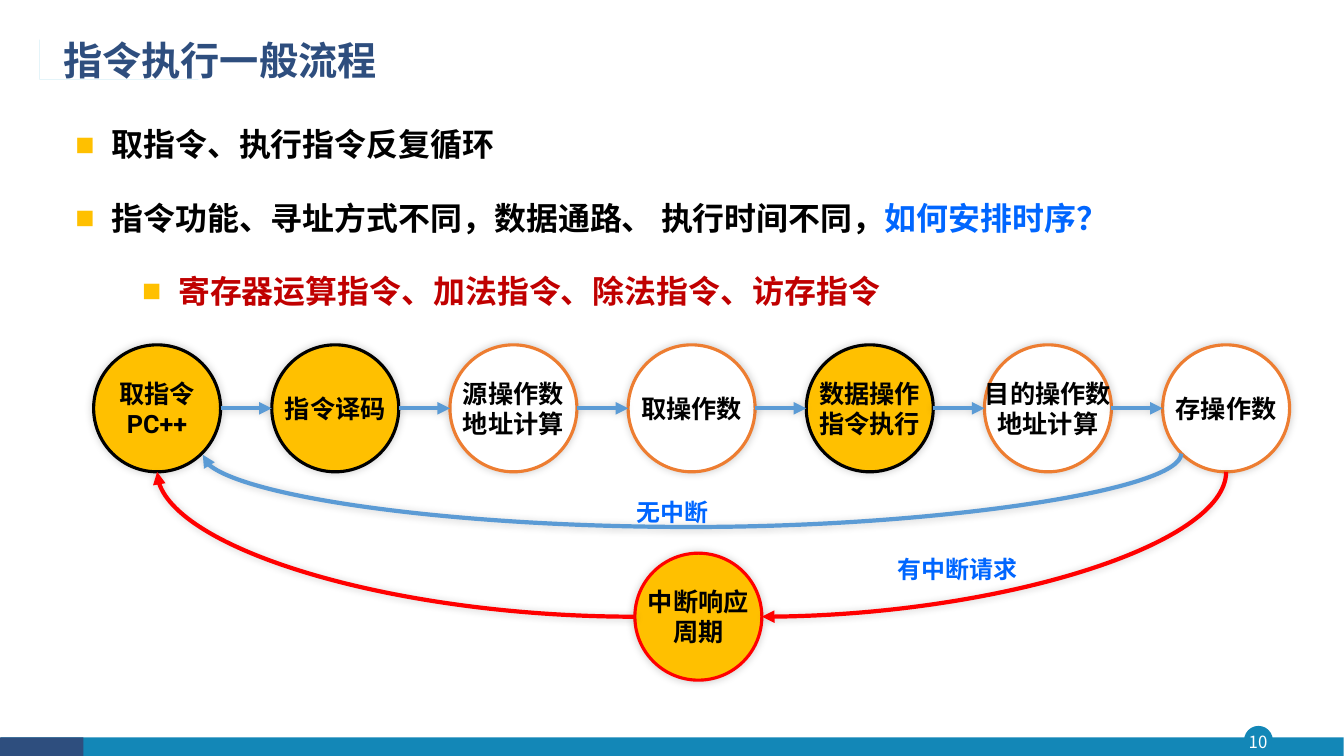
from lxml import etree
from pptx import Presentation
from pptx.dml.color import RGBColor
from pptx.enum import shapes, text
from pptx.oxml import ns, parse_xml
from pptx.util import Cm, Pt

# Content
TITLE = "指令执行一般流程"
PAGE = "10"
# Level, then (wording, colour) pieces
BULLETS = [
    (0, [("取指令、执行指令反复循环", "000000")]),
    (0, [("指令功能、寻址方式不同，数据通路、 执行时间不同，", "000000"),
         ("如何安排时序？", "0066FF")]),
    (1, [("寄存器运算指令、加法指令、除法指令、访存指令", "C00000")]),
]
# Lines of wording, fill, outline
STAGES = [
    (["取指令", "PC++"], "FFC000", "000000"),
    (["指令译码"], "FFC000", "000000"),
    (["源操作数", "地址计算"], "FFFFFF", "ED7D31"),
    (["取操作数"], "FFFFFF", "ED7D31"),
    (["数据操作", "指令执行"], "FFC000", "000000"),
    (["目的操作数", "地址计算"], "FFFFFF", "ED7D31"),
    (["存操作数"], "FFFFFF", "ED7D31"),
]
INTERRUPT = (["中断响应", "周期"], "FFC000", "FF0000")
# Wording, left, top, width
BRANCH_LABELS = [("无中断", 15.8, 12.04, 2.34), ("有中断请求", 22.38, 13.49, 3.56)]
TITLE_MARK = [
    (1.37, 0.99), (1.37, 2.16), (4.76, 2.16), (4.76, 2.2), (1.33, 2.2),
    (1.33, 1.04), (1.2, 1.04), (1.2, 2.2), (0.91, 2.2), (0.91, 0.99),
    (0.99, 0.99), (0.99, 2.13), (1.12, 2.13), (1.12, 0.99),
]

# Layout in centimetres
DIAMETER, PITCH = 3.2, 4.49
ROW_LEFT, ROW_TOP = 2.36, 8.69
INTERRUPT_LEFT, INTERRUPT_TOP = 16.0, 13.94
CJK, LATIN = "Noto Sans CJK SC", "Roboto"
BLUE, RED = "5B9BD5", "FF0000"

presentation = Presentation()
presentation.slide_width, presentation.slide_height = Cm(33.87), Cm(19.05)
slide = presentation.slides.add_slide(presentation.slide_layouts[6])


def color(value):
    return RGBColor.from_string(value)


def apply(target, **values):
    for name, value in values.items():
        setattr(target, name, value)


def add_run(paragraph, wording, size, hue, font=CJK, bold=True):
    run = paragraph.add_run()
    run.text = wording
    apply(run.font, size=Pt(size), bold=bold, name=font)
    run.font.color.rgb = color(hue)
    properties = run.font._element
    etree.SubElement(properties, ns.qn("a:ea"), typeface=CJK)


def add_box(left, top, width, height, **frame_values):
    box = slide.shapes.add_textbox(Cm(left), Cm(top), Cm(width), Cm(height))
    apply(box.text_frame, **frame_values)
    return box.text_frame


def paint(shape, fill, outline=None, width=1):
    shape.shadow.inherit = False
    shape.fill.solid()
    shape.fill.fore_color.rgb = color(fill)
    if outline:
        shape.line.color.rgb = color(outline)
        shape.line.width = Pt(width)
    else:
        shape.line.fill.background()


def add_shape(kind, left, top, width, height, *look):
    shape = slide.shapes.add_shape(kind, Cm(left), Cm(top), Cm(width), Cm(height))
    paint(shape, *look)
    return shape


def add_glow(shape):
    properties = shape._element.spPr
    for old in properties.findall(ns.qn("a:effectLst")):
        properties.remove(old)
    properties.append(parse_xml(
        f'<a:effectLst {ns.nsdecls("a")}><a:outerShdw blurRad="{Pt(6)}" dist="0" '
        'dir="18900000" algn="tl" rotWithShape="0"><a:srgbClr val="000000">'
        '<a:alpha val="20000"/></a:srgbClr></a:outerShdw></a:effectLst>'))


def add_stage(left, top, lines, fill, outline):
    shape = add_shape(shapes.MSO_SHAPE.OVAL, left, top, DIAMETER, DIAMETER,
                      fill, outline, 2.25)
    add_glow(shape)
    frame = shape.text_frame
    apply(frame, word_wrap=False, vertical_anchor=text.MSO_ANCHOR.MIDDLE)
    for number, line in enumerate(lines):
        paragraph = frame.add_paragraph() if number else frame.paragraphs[0]
        paragraph.alignment = text.PP_ALIGN.CENTER
        add_run(paragraph, line, 18, "000000", LATIN)


def add_arrow(start, end, hue, turn=0, preset=None, bend=None):
    """Curves are stored unturned: a quarter turn swaps the sides of their box."""
    (x1, y1), (x2, y2) = start, end
    width, height = abs(x2 - x1), abs(y2 - y1)
    if turn == 90:
        width, height = height, width
    left, top = (x1 + x2 - width) / 2, (y1 + y2 - height) / 2
    kind = shapes.MSO_CONNECTOR.CURVE if preset else shapes.MSO_CONNECTOR.STRAIGHT
    arrow = slide.shapes.add_connector(
        kind, Cm(left), Cm(top), Cm(left + width), Cm(top + height))
    arrow.line.color.rgb = color(hue)
    arrow.line.width = Pt(3)
    properties = arrow._element.spPr
    etree.SubElement(properties.find(ns.qn("a:ln")), ns.qn("a:tailEnd"), type="triangle")
    if preset:
        properties.find(ns.qn("a:xfrm")).set("rot", str(turn * 60000))
        geometry = properties.find(ns.qn("a:prstGeom"))
        geometry.set("prst", preset)
        if bend:
            guides = geometry.find(ns.qn("a:avLst"))
            etree.SubElement(guides, ns.qn("a:gd"), name="adj1",
                             fmla=f"val {round(bend / width * 100000)}")
    add_glow(arrow)


# Footer and page number
add_shape(shapes.MSO_SHAPE.OVAL, 31.37, 18.31, 0.69, 0.69, "1387B7", "1387B7")
add_shape(shapes.MSO_SHAPE.RECTANGLE, 0.02, 18.58, 33.84, 0.47, "1387B7")
add_shape(shapes.MSO_SHAPE.RECTANGLE, 0, 18.58, 2.1, 0.47, "2E4E7E")
page = add_box(31.3, 18.31, 0.81, 0.79, vertical_anchor=text.MSO_ANCHOR.MIDDLE,
               margin_left=0, margin_right=0, margin_top=0, margin_bottom=0)
page.paragraphs[0].alignment = text.PP_ALIGN.CENTER
add_run(page.paragraphs[0], PAGE, 12, "FFFFFF", bold=False)

# Title with its mark
builder = slide.shapes.build_freeform(*TITLE_MARK[0], scale=Cm(1))
builder.add_line_segments(TITLE_MARK[1:], close=True)
paint(builder.convert_to_shape(), "28A9D6")
heading = add_box(1.35, 0.71, 29.2, 1.73, word_wrap=True,
                  vertical_anchor=text.MSO_ANCHOR.MIDDLE)
heading.paragraphs[0].line_spacing = 0.9
add_run(heading.paragraphs[0], TITLE, 28, "2E4E7E")

# Bullets
body = add_box(1.65, 2.54, 30.02, 5.49, word_wrap=True)
for number, (level, pieces) in enumerate(BULLETS):
    paragraph = body.add_paragraph() if number else body.paragraphs[0]
    apply(paragraph, level=level, line_spacing=1.5, space_after=Pt(5.7),
          space_before=Pt(5.7 if number else 0))
    properties = paragraph._element.get_or_add_pPr()
    properties.set("marL", str(Cm(0.91 + 1.68 * level)))
    properties.set("indent", str(Cm(-0.91)))
    bullet_color = etree.SubElement(properties, ns.qn("a:buClr"))
    etree.SubElement(bullet_color, ns.qn("a:srgbClr"), val="FFC000")
    etree.SubElement(properties, ns.qn("a:buFont"), typeface="Arial")
    etree.SubElement(properties, ns.qn("a:buChar"), char="■")
    for wording, hue in pieces:
        add_run(paragraph, wording, 22.8, hue)

# Row of stages with arrows between them
middle = ROW_TOP + DIAMETER / 2
for number, stage in enumerate(STAGES):
    left = ROW_LEFT + number * PITCH
    add_stage(left, ROW_TOP, *stage)
    if number:
        add_arrow((left - PITCH + DIAMETER, middle), (left, middle), BLUE)

# Return paths without and with an interrupt
first_center = ROW_LEFT + DIAMETER / 2
last_center = first_center + (len(STAGES) - 1) * PITCH
row_bottom = ROW_TOP + DIAMETER
interrupt_middle = INTERRUPT_TOP + DIAMETER / 2
add_arrow((29.77, 11.43), (5.11, 11.46), BLUE, 90, "curvedConnector3", 1.85)
add_stage(INTERRUPT_LEFT, INTERRUPT_TOP, *INTERRUPT)
add_arrow((last_center, row_bottom), (INTERRUPT_LEFT + DIAMETER, interrupt_middle),
          RED, 90, "curvedConnector2")
add_arrow((INTERRUPT_LEFT, interrupt_middle), (first_center, row_bottom),
          RED, 180, "curvedConnector2")
for wording, left, top, width in BRANCH_LABELS:
    label = add_box(left, top, width, 1.22, word_wrap=False)
    apply(label.paragraphs[0], line_spacing=1.5, space_after=Pt(5.7))
    add_run(label.paragraphs[0], wording, 17.1, "0066FF", LATIN)

presentation.save("out.pptx")
